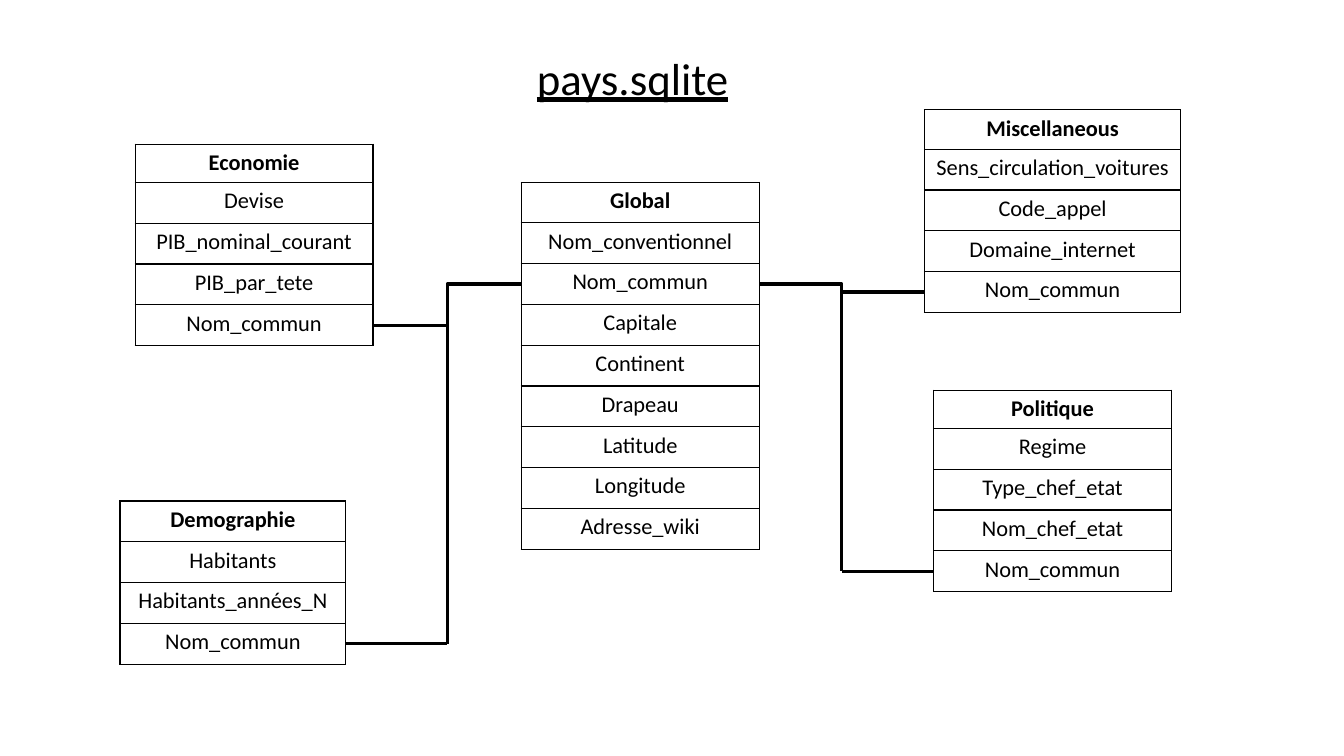
from dataclasses import dataclass

from lxml import etree
from pptx import Presentation
from pptx.dml.color import RGBColor
from pptx.enum.shapes import MSO_CONNECTOR
from pptx.enum.text import MSO_ANCHOR, PP_ALIGN
from pptx.oxml.ns import qn
from pptx.util import Inches, Pt

CENTER = PP_ALIGN.CENTER
TOP = MSO_ANCHOR.TOP
STRAIGHT = MSO_CONNECTOR.STRAIGHT
ELBOW = MSO_CONNECTOR.ELBOW
BORDER_TAGS = ("a:lnL", "a:lnR", "a:lnT", "a:lnB")


@dataclass(frozen=True)
class Theme:
    """Colours, type sizes and line widths of the diagram."""
    font: str = "Calibri"
    ink: str = "000000"
    paper: str = "FFFFFF"
    title_size: int = 32
    field_size: int = 16
    border_width: float = 1
    link_width: float = 2.25


@dataclass(frozen=True)
class Entity:
    """A database table, placed on the grid; its first row is its name."""
    name: str
    fields: tuple
    left: float
    top: float
    width: float
    header: float
    row: float = 4.05

    @property
    def right(self):
        """Grid column of the right edge."""
        return self.left + self.width

    @property
    def key_row(self):
        """Grid row of the middle of the shared key field."""
        return self.top + self.header + (self.fields.index(KEY) + 0.5) * self.row


class SlideBuilder:
    """Draws on one slide; lengths are cells of a grid of tenths of an inch."""

    def __init__(self, slide, theme):
        """Keep the slide and its style."""
        self.shapes = slide.shapes
        self.theme = theme

    def grid(self, *cells):
        """Turn grid cells into slide lengths."""
        return [Inches(cell / 10) for cell in cells]

    def set_text(self, frame, text, size, bold=False, underline=False):
        """Put one centred paragraph in a text frame."""
        para = frame.paragraphs[0]
        para.text = text
        para.alignment = CENTER
        font = para.font
        font.name, font.size = self.theme.font, Pt(size)
        font.bold, font.underline = bold, underline
        font.color.rgb = RGBColor.from_string(self.theme.ink)

    def title(self, text, left, top, width, height):
        """Add the underlined title."""
        box = self.shapes.add_textbox(*self.grid(left, top, width, height))
        box.text_frame.word_wrap = True
        self.set_text(box.text_frame, text, self.theme.title_size, underline=True)

    def outline(self, cell):
        """Give a cell a thin border on all four sides."""
        properties = cell._tc.get_or_add_tcPr()
        for position, tag in enumerate(BORDER_TAGS):
            line = etree.Element(qn(tag), w=str(Pt(self.theme.border_width)))
            fill = etree.SubElement(line, qn("a:solidFill"))
            etree.SubElement(fill, qn("a:srgbClr"), val=self.theme.ink)
            properties.insert(position, line)

    def entity(self, entity):
        """Add an entity as a one-column table."""
        rows = (entity.name, *entity.fields)
        heights = [entity.header] + [entity.row] * len(entity.fields)
        frame = self.shapes.add_table(len(rows), 1, *self.grid(
            entity.left, entity.top, entity.width, sum(heights)))
        table = frame.table
        table.first_row = table.horz_banding = False
        for index, (text, height) in enumerate(zip(rows, heights)):
            table.rows[index].height = Inches(height / 10)
            cell = table.cell(index, 0)
            cell.vertical_anchor = TOP
            cell.fill.solid()
            cell.fill.fore_color.rgb = RGBColor.from_string(self.theme.paper)
            self.outline(cell)
            self.set_text(cell.text_frame, text, self.theme.field_size, bold=index == 0)

    def line(self, kind, *ends):
        """Add a plain link line between two grid points."""
        link = self.shapes.add_connector(kind, *self.grid(*ends))
        link.line.color.rgb = RGBColor.from_string(self.theme.ink)
        link.line.width = Pt(self.theme.link_width)
        etree.SubElement(link._element.spPr, qn("a:effectLst"))

    def join(self, hub_edge, hub_row, near_edge, near, far_edge, far):
        """Link the hub to a near entity, with a trunk down to a far one."""
        trunk = (hub_edge + near_edge) / 2
        self.line(ELBOW, hub_edge, hub_row, near_edge, near.key_row)
        self.line(STRAIGHT, trunk, near.key_row, trunk, far.key_row)
        self.line(STRAIGHT, far_edge, far.key_row, trunk, far.key_row)


KEY = "Nom_commun"
HUB = Entity("Global", ("Nom_conventionnel", KEY, "Capitale", "Continent", "Drapeau",
                        "Latitude", "Longitude", "Adresse_wiki"), 51.7, 18.1, 23.6, 4)
DEMOGRAPHY = Entity("Demographie", ("Habitants", "Habitants_années_N", KEY),
                    11.9, 49.7, 22.4, 4.05)
ECONOMY = Entity("Economie", ("Devise", "PIB_nominal_courant", "PIB_par_tete", KEY),
                 13.4, 14.3, 23.6, 3.8)
MISCELLANEOUS = Entity("Miscellaneous", ("Sens_circulation_voitures", "Code_appel",
                                         "Domaine_internet", KEY), 91.7, 10.9, 25.4, 3.9)
POLITICS = Entity("Politique", ("Regime", "Type_chef_etat", "Nom_chef_etat", KEY),
                  92.6, 38.7, 23.6, 3.8)


def main():
    """Build the database diagram and save it."""
    deck = Presentation()
    deck.slide_width, deck.slide_height = Inches(13.33), Inches(7.5)
    page = SlideBuilder(deck.slides.add_slide(deck.slide_layouts[6]), Theme())
    for entity in (HUB, DEMOGRAPHY, ECONOMY, MISCELLANEOUS, POLITICS):
        page.entity(entity)
    page.join(HUB.left, HUB.key_row, ECONOMY.right, ECONOMY, DEMOGRAPHY.right, DEMOGRAPHY)
    page.join(HUB.right, HUB.key_row, MISCELLANEOUS.left, MISCELLANEOUS,
              POLITICS.left, POLITICS)
    page.title("pays.sqlite", 40.1, 4.5, 45.3, 6.4)
    deck.save("out.pptx")


main()
